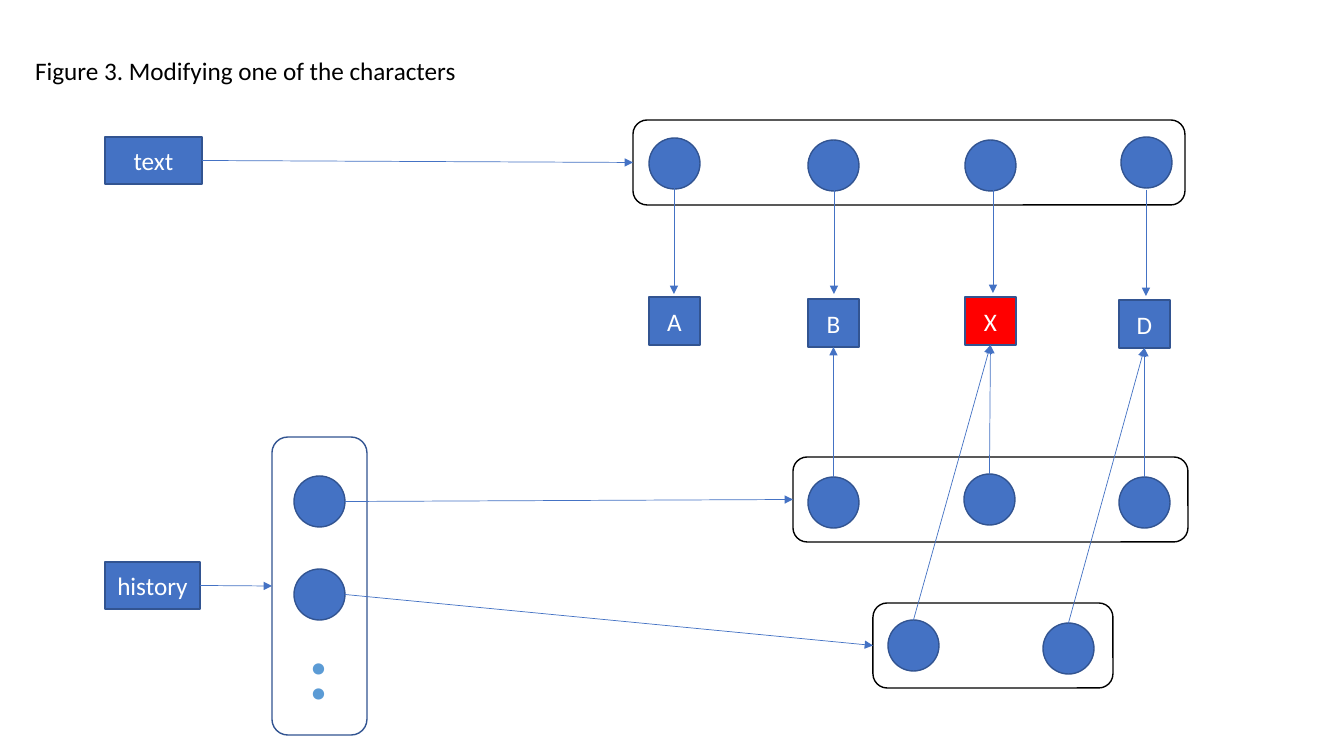
from lxml import etree
from pptx import Presentation, util as u
from pptx.dml.color import RGBColor
from pptx.enum import shapes, text
from pptx.oxml.ns import qn

EMU_PER_PIXEL = 914400 / 100.8
FONT = "Calibri"
COLORS = {
    "blue": "4472C4", "edge": "325491", "red": "FF0000", "dots": "5B9BD5",
    "white": "FFFFFF", "black": "000000",
}
KIND = shapes.MSO_SHAPE

CAPTION = ("Figure 3. Modifying one of the characters", (25, 50, 447, 40))
ELLIPSIS = (":", (298, 619, 41, 102))
FRAMES = {
    "text row": (KIND.ROUNDED_RECTANGLE, (633, 120, 552, 85), "black"),
    "first row": (KIND.ROUNDED_RECTANGLE, (793, 457, 395, 85), "black"),
    "second row": (KIND.ROUNDED_RECTANGLE, (873, 603, 240, 85), "black"),
    "history column": (KIND.FLOWCHART_ALTERNATE_PROCESS, (272, 437, 95, 298), "edge"),
}
VARIABLES = {"text": (105, 137, 97, 47), "history": (105, 562, 95, 47)}
CHARACTERS = {"A": (649, 297), "B": (808, 299), "X": (965, 297), "D": (1119, 300)}
CHARACTER_SIZE = (51, 48)
CIRCLE_SIZE = (51, 51)
CIRCLES = {
    "text A": (649, 138), "text B": (808, 140),
    "text X": (965, 140), "text D": (1121, 137),
    "first B": (808, 477), "first X": (964, 474), "first D": (1119, 477),
    "second X": (888, 620), "second D": (1043, 623),
    "history first": (294, 476), "history second": (294, 569),
}
SIDEWAYS = [
    ("text", "text row"), ("history", "history column"),
    ("history first", "first row"), ("history second", "second row"),
]
UPWARD = [
    ("first B", "B"), ("first X", "X"), ("first D", "D"),
    ("second X", "X"), ("second D", "D"),
]
DOWNWARD_STARTS = [(674, 188), (834, 188), (993, 187), (1146, 190)]
DOWNWARD_LENGTH = 106


def pixels(*lengths):
    return [u.Emu(round(length * EMU_PER_PIXEL)) for length in lengths]


def color(name):
    return RGBColor.from_string(COLORS[name])


def style_paragraph(paragraph, size, color_name, alignment):
    paragraph.alignment = alignment
    paragraph.font.name = FONT
    paragraph.font.size = u.Pt(size)
    paragraph.font.color.rgb = color(color_name)


def add_node(kind, box, fill="blue", line="edge", label=""):
    shape = slide.shapes.add_shape(kind, *pixels(*box))
    shape.shadow.inherit = False
    shape.fill.solid()
    shape.fill.fore_color.rgb = color(fill)
    shape.line.color.rgb = color(line)
    shape.line.width = u.Pt(1)
    if label:
        frame = shape.text_frame
        frame.text = label
        frame.vertical_anchor = text.MSO_ANCHOR.MIDDLE
        style_paragraph(frame.paragraphs[0], 18, "white", text.PP_ALIGN.CENTER)


def add_arrow(start, end):
    arrow = slide.shapes.add_connector(
        shapes.MSO_CONNECTOR.STRAIGHT, *pixels(*start, *end))
    arrow.line.color.rgb = color("blue")
    arrow.line.width = u.Pt(0.5)
    etree.SubElement(arrow.line._get_or_add_ln(), qn("a:tailEnd"), type="triangle")
    etree.SubElement(arrow._element.spPr, qn("a:effectLst"))


def anchor(name, across, down):
    left, top, width, height = boxes[name]
    return left + across * width, top + down * height


presentation = Presentation()
presentation.slide_width, presentation.slide_height = pixels(1344, 756)
slide = presentation.slides.add_slide(presentation.slide_layouts[5])
boxes = dict(VARIABLES)

caption = slide.shapes.title
caption.left, caption.top, caption.width, caption.height = pixels(*CAPTION[1])
caption_frame = caption.text_frame
caption_frame.text = CAPTION[0]
caption_frame.word_wrap = True
caption_frame.auto_size = text.MSO_AUTO_SIZE.SHAPE_TO_FIT_TEXT
caption_frame.vertical_anchor = text.MSO_ANCHOR.TOP
style_paragraph(caption_frame.paragraphs[0], 18, "black", text.PP_ALIGN.LEFT)

for name, (kind, box, line) in FRAMES.items():
    boxes[name] = box
    add_node(kind, box, "white", line)
for name, box in VARIABLES.items():
    add_node(KIND.RECTANGLE, box, label=name)
for name, corner in CHARACTERS.items():
    boxes[name] = corner + CHARACTER_SIZE
    fill = "red" if name == "X" else "blue"
    add_node(KIND.FLOWCHART_PROCESS, boxes[name], fill, label=name)
for name, corner in CIRCLES.items():
    boxes[name] = corner + CIRCLE_SIZE
    add_node(KIND.FLOWCHART_CONNECTOR, boxes[name])

for x, y in DOWNWARD_STARTS:
    add_arrow((x, y), (x, y + DOWNWARD_LENGTH))
for source, target in SIDEWAYS:
    add_arrow(anchor(source, 1, 0.5), anchor(target, 0, 0.5))
for source, target in UPWARD:
    add_arrow(anchor(source, 0.5, 0), anchor(target, 0.5, 1))

ellipsis = slide.shapes.add_textbox(*pixels(*ELLIPSIS[1]))
ellipsis_frame = ellipsis.text_frame
ellipsis_frame.word_wrap = False
ellipsis_frame.auto_size = text.MSO_AUTO_SIZE.SHAPE_TO_FIT_TEXT
paragraph = ellipsis_frame.paragraphs[0]
paragraph.alignment = text.PP_ALIGN.CENTER
run = paragraph.add_run()
run.text = ELLIPSIS[0]
run.font.name = FONT
run.font.size = u.Pt(54)
run.font.bold = True
run.font.color.rgb = color("dots")
outline = etree.Element(qn("a:ln"), w=str(u.Pt(0.75)))
outline_fill = etree.SubElement(outline, qn("a:solidFill"))
etree.SubElement(outline_fill, qn("a:srgbClr"), val=COLORS["white"])
run.font._element.insert(0, outline) if hasattr(run.font, "_element") else run._r.get_or_add_rPr().insert(0, outline)

presentation.save("out.pptx")
